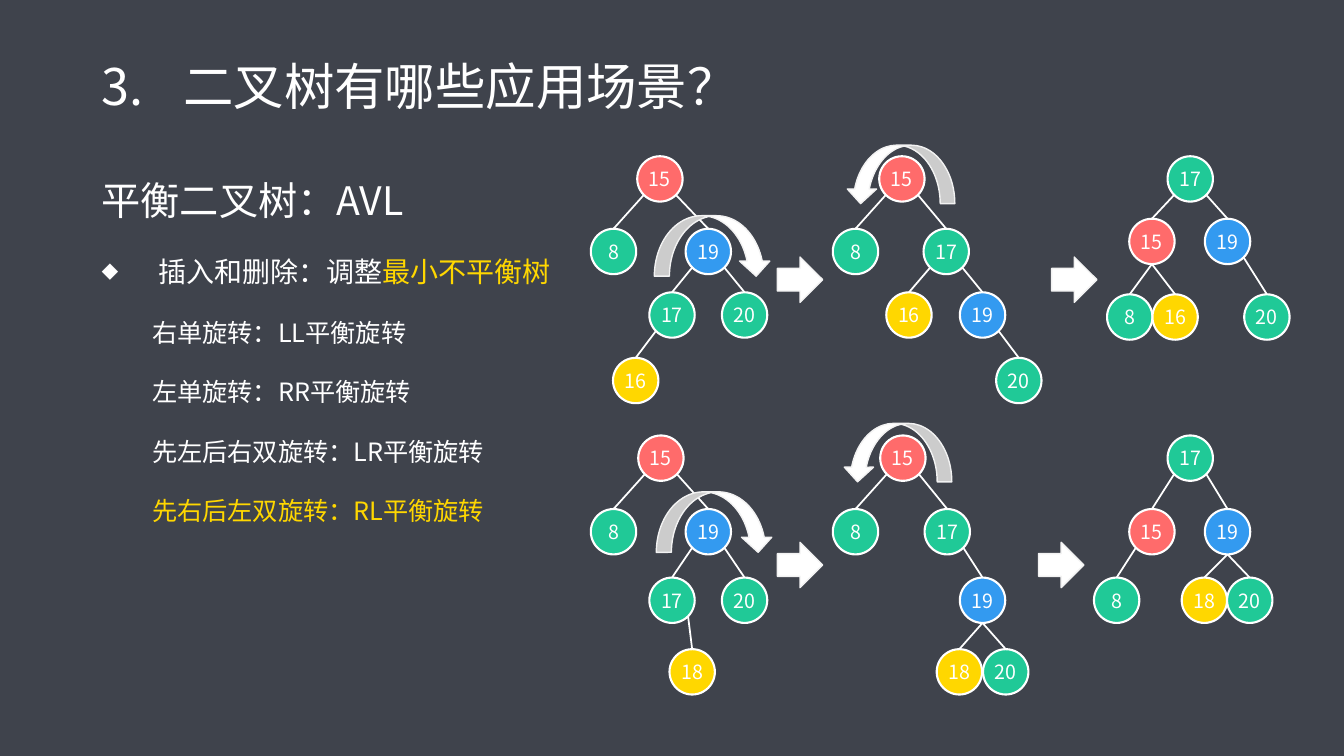
from dataclasses import dataclass

from lxml import etree
from pptx import Presentation
from pptx import util as u
from pptx.dml.color import RGBColor
from pptx.enum import shapes, text
from pptx.oxml.ns import qn


@dataclass(frozen=True)
class Theme:
    font: str = "Noto Sans CJK SC"
    back: str = "3F434C"
    white: str = "FFFFFF"
    rim: str = "F2F2F2"
    red: str = "FF6B6B"
    green: str = "20C997"
    blue: str = "339AF0"
    gold: str = "FFD700"
    title: int = 36
    heading: int = 28
    point: int = 20
    detail: int = 18
    label: int = 14


THEME = Theme()
NODE = 0.45  # node diameter, in grid units of one inch
KEY_COLOURS = {8: THEME.green, 15: THEME.red, 16: THEME.gold, 17: THEME.green,
               18: THEME.gold, 19: THEME.blue, 20: THEME.green}

# Row tops of the tree levels
UPPER = (1.55, 2.27, 2.9, 3.55)
UPPER_BALANCED = (1.55, 2.17, 2.92)
LOWER = (4.32, 5.05, 5.73, 6.44)

# Tree nodes: key, parent key, level, column offset from the root
LL_START = [(15, None, 0, 0), (8, 15, 1, -0.46), (19, 15, 1, 0.48),
            (17, 19, 2, 0.12), (20, 19, 2, 0.84), (16, 17, 3, -0.24)]
LL_TURNED = [(15, None, 0, 0), (8, 15, 1, -0.46), (17, 15, 1, 0.44),
             (16, 17, 2, 0.07), (19, 17, 2, 0.8), (20, 19, 3, 1.16)]
LL_BALANCED = [(17, None, 0, 0), (15, 17, 1, -0.38), (19, 17, 1, 0.37),
               (8, 15, 2, -0.6), (16, 15, 2, -0.15), (20, 19, 2, 0.76)]
RL_START = [(15, None, 0, 0), (8, 15, 1, -0.47), (19, 15, 1, 0.47),
            (17, 19, 2, 0.11), (20, 19, 2, 0.83), (18, 17, 3, 0.31)]
RL_TURNED = [(15, None, 0, 0), (8, 15, 1, -0.47), (17, 15, 1, 0.44),
             (19, 17, 2, 0.79), (18, 19, 3, 0.56), (20, 19, 3, 1.02)]
RL_BALANCED = [(17, None, 0, 0), (15, 17, 1, -0.38), (19, 17, 1, 0.37),
               (8, 15, 2, -0.73), (18, 19, 2, 0.14), (20, 19, 2, 0.59)]


def write(para, words, *, size, colour=THEME.white):
    span = para.add_run()
    span.text = words
    span.font.size = u.Pt(size)
    span.font.name = THEME.font
    span.font.color.rgb = RGBColor.from_string(colour)
    props = span.font._element
    props.set("lang", "zh-CN")
    etree.SubElement(props, qn("a:ea"), typeface=THEME.font)


def set_indent(para, left, first=0):
    props = para._p.get_or_add_pPr()
    props.set("marL", str(u.Inches(left)))
    props.set("indent", str(u.Inches(first)))
    return props


def add_text_box(page, left, top, width, height, anchor):
    box = page.shapes.add_textbox(*map(u.Inches, (left, top, width, height)))
    box.text_frame.word_wrap = True
    box.text_frame.vertical_anchor = anchor
    return box.text_frame


def add_filled(holder, kind, left, top, width, height, fill, rim, weight):
    shape = holder.add_shape(kind, *map(u.Inches, (left, top, width, height)))
    shape.shadow.inherit = False
    shape.fill.solid()
    shape.fill.fore_color.rgb = RGBColor.from_string(fill)
    shape.line.color.rgb = RGBColor.from_string(rim)
    shape.line.width = u.Pt(weight)
    return shape


def add_arrow(page, kind, left, top, width=NODE, height=NODE, turn=0):
    arrow = add_filled(page.shapes, kind, left, top, width, height,
                       THEME.white, THEME.rim, 1)
    arrow.rotation = turn


def add_node(holder, key, left, top):
    node = add_filled(holder, shapes.MSO_SHAPE.OVAL, left, top, NODE, NODE,
                      KEY_COLOURS[key], THEME.white, 1.5)
    frame = node.text_frame
    frame.margin_left = frame.margin_right = 0
    frame.vertical_anchor = text.MSO_ANCHOR.MIDDLE
    frame.paragraphs[0].alignment = text.PP_ALIGN.CENTER
    write(frame.paragraphs[0], str(key), size=THEME.label)
    return node


def add_edge(holder, parent, child, from_bottom):
    """Join a parent's bottom or lower diagonal to the child's top."""
    radius = parent.width / 2
    across = 0 if from_bottom else radius * 0.71
    down = radius if from_bottom else radius * 0.71
    side = -1 if child.left < parent.left else 1
    edge = holder.add_connector(
        shapes.MSO_CONNECTOR.STRAIGHT,
        int(parent.left + radius + side * across),
        int(parent.top + radius + down),
        int(child.left + radius), child.top)
    edge.end_connect(child, 0)
    edge.line.color.rgb = RGBColor.from_string(THEME.white)
    edge.line.width = u.Pt(1.25)
    etree.SubElement(edge._element.spPr, qn("a:effectLst"))


def add_tree(page, tree, root_left, rows):
    holder = page.shapes.add_group_shape().shapes
    nodes = {key: add_node(holder, key, root_left + offset, rows[level])
             for key, _, level, offset in tree}
    for key, parent, _, _ in tree:
        if parent is None:
            continue
        lefts = [offset for _, above, _, offset in tree if above == parent]
        # Siblings that touch hang from the bottom of their parent
        touching = len(lefts) == 2 and max(lefts) - min(lefts) < NODE + 0.02
        add_edge(holder, nodes[parent], nodes[key], touching)


def add_title(page):
    frame = add_text_box(page, 0.91, 0.29, 11.5, 1.18, text.MSO_ANCHOR.MIDDLE)
    para = frame.paragraphs[0]
    para.line_spacing = 0.9
    props = set_indent(para, 0.81, -0.81)
    etree.SubElement(props, qn("a:buFont"), typeface="+mj-lt")
    etree.SubElement(props, qn("a:buAutoNum"), type="arabicPeriod", startAt="3")
    write(para, "二叉树有哪些应用场景？", size=THEME.title)


def add_body(page):
    frame = add_text_box(page, 0.91, 1.47, 11.5, 5.62, text.MSO_ANCHOR.TOP)

    def new_para(level):
        para = frame.add_paragraph() if level else frame.paragraphs[0]
        para.level = level
        para.line_spacing = 1.5
        para.space_before = u.Pt(10)
        return para

    write(new_para(0), "平衡二叉树：AVL", size=THEME.heading)
    point = new_para(1)
    props = set_indent(point, 0.56, -0.56)
    etree.SubElement(props, qn("a:buSzPct"), val="60000")
    etree.SubElement(props, qn("a:buFont"), typeface=THEME.font)
    etree.SubElement(props, qn("a:buChar"), char="◆")
    write(point, "插入和删除：调整", size=THEME.point)
    write(point, "最小不平衡树", size=THEME.point, colour=THEME.gold)
    for words, colour in (("右单旋转：LL平衡旋转", THEME.white),
                          ("左单旋转：RR平衡旋转", THEME.white),
                          ("先左后右双旋转：LR平衡旋转", THEME.white),
                          ("先右后左双旋转：RL平衡旋转", THEME.gold)):
        detail = new_para(2)
        set_indent(detail, 0.5)
        write(detail, words, size=THEME.detail, colour=colour)


def main():
    deck = Presentation()
    deck.slide_width, deck.slide_height = u.Inches(13.33), u.Inches(7.5)
    page = deck.slides.add_slide(deck.slide_layouts[6])
    page.background.fill.solid()
    page.background.fill.fore_color.rgb = RGBColor.from_string(THEME.back)

    add_body(page)
    add_title(page)

    # Step arrows between the trees
    for left, top in ((7.71, 2.55), (10.43, 2.55), (7.71, 5.38), (10.3, 5.38)):
        add_arrow(page, shapes.MSO_SHAPE.RIGHT_ARROW, left, top)

    # Upper sequence
    clockwise = shapes.MSO_SHAPE.CURVED_DOWN_ARROW
    counter = shapes.MSO_SHAPE.CURVED_RIGHT_ARROW
    add_tree(page, LL_START, 6.32, UPPER)
    add_arrow(page, clockwise, 6.49, 2.14, 1.16, 0.6)
    add_arrow(page, counter, 8.64, 1.19, 0.58, 1.08, turn=90)
    add_tree(page, LL_TURNED, 8.72, UPPER)
    add_tree(page, LL_BALANCED, 11.58, UPPER_BALANCED)

    # Lower sequence
    add_tree(page, RL_START, 6.33, LOWER)
    add_arrow(page, clockwise, 6.51, 4.88, 1.16, 0.6)
    add_tree(page, RL_TURNED, 8.73, LOWER)
    add_arrow(page, counter, 8.61, 3.95, 0.58, 1.08, turn=90)
    add_tree(page, RL_BALANCED, 11.58, LOWER)

    deck.save("out.pptx")


if __name__ == "__main__":
    main()
